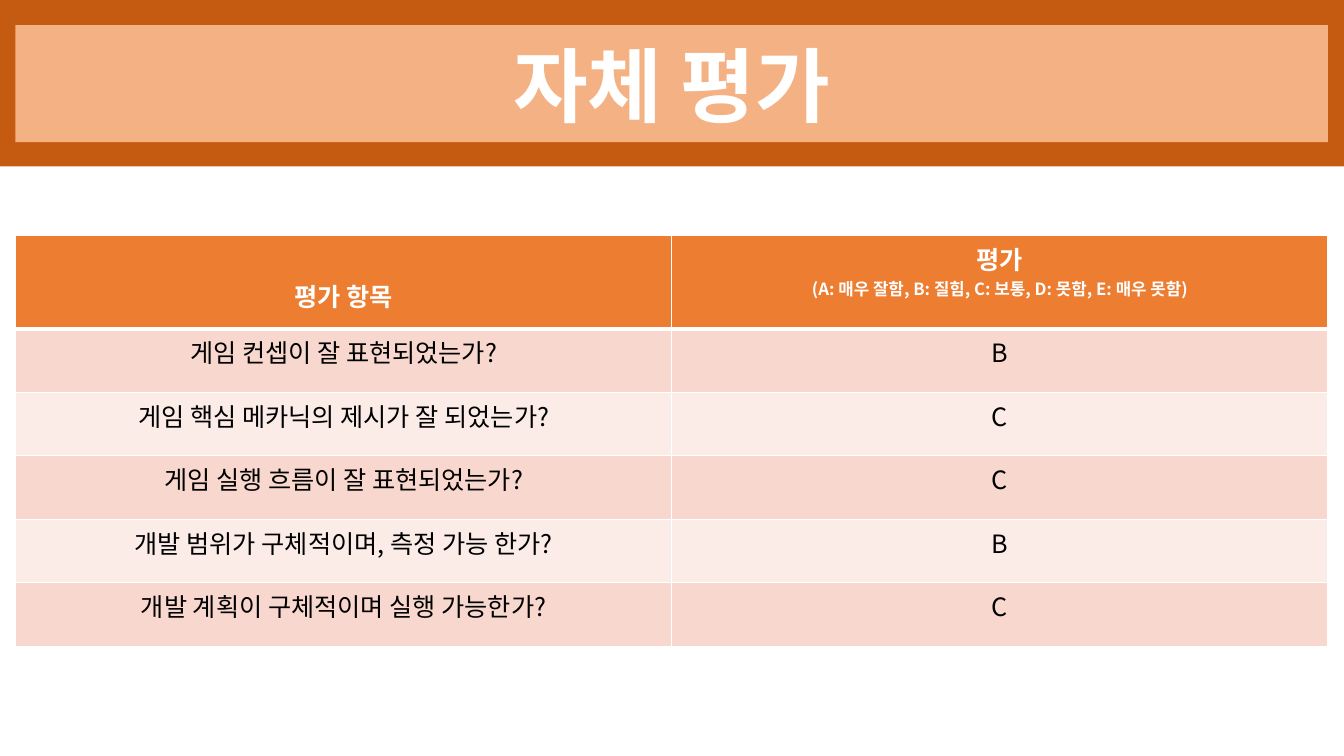
from lxml import etree
from pptx import Presentation
from pptx.dml.color import RGBColor
from pptx.enum.shapes import MSO_SHAPE as Shape
from pptx.enum.text import MSO_ANCHOR as Anchor, PP_ALIGN as Align
from pptx.oxml import parse_xml
from pptx.oxml.ns import nsdecls, qn
from pptx.util import Pt

FONT = "Noto Sans CJK KR"
WHITE = RGBColor(0xFF, 0xFF, 0xFF)
BLACK = RGBColor(0, 0, 0)
RUST = RGBColor(0xC5, 0x5A, 0x11)
PEACH = RGBColor(0xF4, 0xB1, 0x83)
ORANGE = RGBColor(0xED, 0x7D, 0x31)
PINK = RGBColor(0xF8, 0xD7, 0xCE)
PALE = RGBColor(0xFC, 0xEC, 0xE8)


def put(para, text, size=18, color=BLACK, bold=False):
    para.alignment = Align.CENTER
    run = para.add_run()
    run.text = text
    font = run.font
    font.size, font.bold, font.name = Pt(size), bold, FONT
    font.color.rgb = color
    etree.SubElement(run._r.rPr, qn("a:ea"), typeface=FONT)


def style(cell, fill, top, bottom):
    """Fill a cell and rule it in white, with top and bottom widths in points."""
    cell.fill.solid()
    cell.fill.fore_color.rgb = fill
    props = cell._tc.get_or_add_tcPr()
    for i, (side, width) in enumerate(zip("LRTB", (1, 1, top, bottom))):
        props.insert(i, parse_xml(
            f'<a:ln{side} {nsdecls("a")} w="{Pt(width)}"><a:solidFill>'
            f'<a:srgbClr val="{WHITE}"/></a:solidFill></a:ln{side}>'))


prs = Presentation()
prs.slide_width, prs.slide_height = Pt(960), Pt(540)
slide = prs.slides.add_slide(prs.slide_layouts[6])

# Title banner
banner = slide.shapes.add_group_shape().shapes
frame = banner.add_shape(Shape.FRAME, Pt(0), Pt(0), Pt(960), Pt(118.8))
frame.adjustments[0] = 0.153
panel = banner.add_shape(Shape.RECTANGLE, Pt(11), Pt(18), Pt(937.6), Pt(83.5))
for shape, color in ((frame, RUST), (panel, PEACH)):
    shape.shadow.inherit = False
    shape.fill.solid()
    shape.fill.fore_color.rgb = color
    shape.line.fill.background()
panel.text_frame.vertical_anchor = Anchor.MIDDLE
put(panel.text_frame.paragraphs[0], "자체 평가", size=58, color=WHITE, bold=True)

# Rating table
marks = [
    ("게임 컨셉이 잘 표현되었는가?", "B"),
    ("게임 핵심 메카닉의 제시가 잘 되었는가?", "C"),
    ("게임 실행 흐름이 잘 표현되었는가?", "C"),
    ("개발 범위가 구체적이며, 측정 가능 한가?", "B"),
    ("개발 계획이 구체적이며 실행 가능한가?", "C"),
]
table = slide.shapes.add_table(
    len(marks) + 1, 2, Pt(11), Pt(167.8), Pt(937.6), Pt(293.8)).table
for row in table.rows:
    row.height = Pt(45.36)
table.rows[0].height = Pt(67)

item, grade = table.rows[0].cells
for cell in (item, grade):
    style(cell, ORANGE, top=1, bottom=3)
item.margin_top = Pt(30)
put(item.text_frame.paragraphs[0], "평가 항목", color=WHITE, bold=True)
put(grade.text_frame.paragraphs[0], "평가", color=WHITE, bold=True)
put(grade.text_frame.add_paragraph(),
    "(A: 매우 잘함, B: 질힘, C: 보통, D: 못함, E: 매우 못함)",
    size=12, color=WHITE, bold=True)

for r, texts in enumerate(marks, 1):
    for c, text in enumerate(texts):
        cell = table.cell(r, c)
        style(cell, PINK if r % 2 else PALE, top=3 if r == 1 else 1, bottom=1)
        put(cell.text_frame.paragraphs[0], text)

prs.save("out.pptx")
